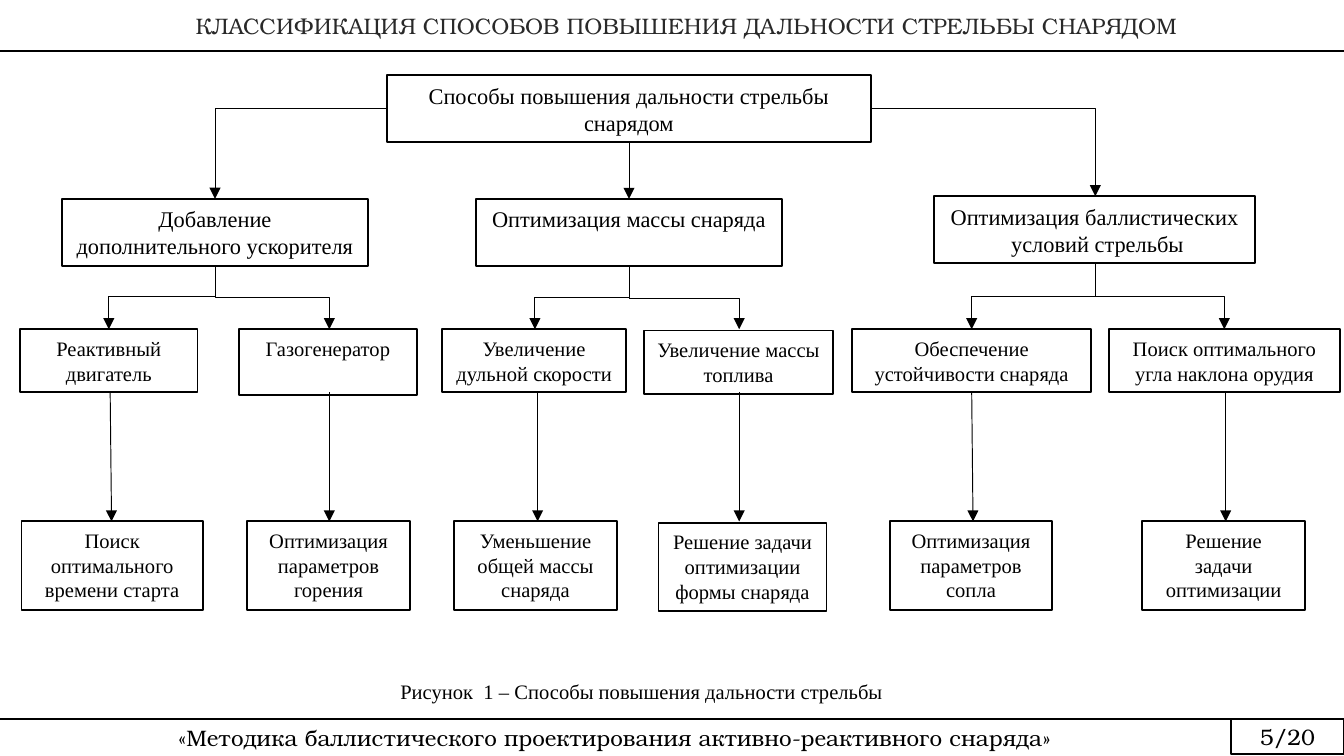
from lxml.etree import SubElement
from pptx import Presentation
from pptx.dml.color import RGBColor
from pptx.enum.shapes import MSO_CONNECTOR, MSO_SHAPE
from pptx.enum.text import MSO_ANCHOR, PP_ALIGN
from pptx.oxml.ns import qn
from pptx.util import Inches, Pt

BLACK = RGBColor(0x00, 0x00, 0x00)
WHITE = RGBColor(0xFF, 0xFF, 0xFF)
TITLE_GRAY = RGBColor(0x29, 0x29, 0x29)
BODY_FONT = "Times New Roman"
FRAME_FONT = "TeX Gyre Bonum"
FRAME_INSETS = (0.07, 0.04, 0.07, 0.04)


def write_text(shape, text, size=11, font=BODY_FONT, color=BLACK,
               align=PP_ALIGN.CENTER, anchor=MSO_ANCHOR.TOP,
               insets=(0.1, 0.05, 0.1, 0.05)):
    """Fill a shape with text, one paragraph per line."""
    frame = shape.text_frame
    frame.word_wrap = True
    frame.vertical_anchor = anchor
    (frame.margin_left, frame.margin_top,
     frame.margin_right, frame.margin_bottom) = map(Inches, insets)
    frame.text = text
    for paragraph in frame.paragraphs:
        paragraph.alignment = align
        for run in paragraph.runs:
            run.font.size = Pt(size)
            run.font.name = font
            run.font.color.rgb = color


class SchemeSlide:
    """Holds the current slide and the style of the scheme."""
    box_line = 1
    rule_line = 0.75
    arrow_line = 0.5

    def __init__(self, slide):
        self.shapes = slide.shapes

    def box(self, place, text, fill=WHITE, line=box_line, **text_format):
        shape = self.shapes.add_shape(MSO_SHAPE.RECTANGLE, *map(Inches, place))
        shape.shadow.inherit = False
        if fill is None:
            shape.fill.background()
        else:
            shape.fill.solid()
            shape.fill.fore_color.rgb = fill
        if line:
            shape.line.color.rgb = BLACK
            shape.line.width = Pt(line)
        else:
            shape.line.fill.background()
        write_text(shape, text, **text_format)

    def label(self, place, text, **text_format):
        write_text(self.shapes.add_textbox(*map(Inches, place)), text, **text_format)

    def rule(self, start, end, width=rule_line, kind=MSO_CONNECTOR.STRAIGHT):
        connector = self.shapes.add_connector(kind, *map(Inches, (*start, *end)))
        connector.line.color.rgb = BLACK
        connector.line.width = Pt(width)
        SubElement(connector._element.spPr, qn("a:effectLst"))
        return connector

    def arrow(self, start, end, kind=MSO_CONNECTOR.STRAIGHT):
        connector = self.rule(start, end, self.arrow_line, kind)
        line = connector.line._get_or_add_ln()
        SubElement(line, qn("a:tailEnd"), type="triangle")
        return connector

    def corner_arrow(self, start, end):
        """Go sideways, then down, with a single bend."""
        connector = self.arrow(start, end, MSO_CONNECTOR.ELBOW)
        connector._element.spPr.find(qn("a:prstGeom")).set("prst", "bentConnector2")

    def step_arrow(self, start, end):
        """Go down, sideways and down again: an elbow turned by a quarter."""
        (x1, y1), (x2, y2) = start, end
        drop, shift = y2 - y1, abs(x2 - x1)
        left, top = (x1 + x2 - drop) / 2, (y1 + y2 - shift) / 2
        near, far, turn = left, left + drop, 90
        if x2 > x1:
            near, far, turn = far, near, 270
        connector = self.arrow((near, top), (far, top + shift), MSO_CONNECTOR.ELBOW)
        connector._element.spPr.find(qn("a:xfrm")).set("rot", str(turn * 60000))


# Boxes of the scheme: place and text
METHODS = [
    ((2.88, 0.56, 3.6, 0.5), "Способы повышения дальности стрельбы снарядом"),
    ((0.46, 1.48, 2.28, 0.5), "Добавление дополнительного ускорителя"),
    ((3.54, 1.48, 2.28, 0.5), "Оптимизация массы снаряда"),
    ((6.95, 1.46, 2.39, 0.5), "Оптимизация баллистических\n условий стрельбы"),
]
MEANS = [
    ((0.15, 2.45, 1.32, 0.47), "Реактивный двигатель"),
    ((1.78, 2.45, 1.32, 0.49), "Газогенератор"),
    ((3.29, 2.45, 1.37, 0.47), "Увеличение дульной скорости"),
    ((4.79, 2.46, 1.41, 0.47), "Увеличение массы топлива"),
    ((6.34, 2.45, 1.78, 0.47), "Обеспечение устойчивости снаряда"),
    ((8.25, 2.45, 1.72, 0.47), "Поиск оптимального угла наклона орудия"),
]
TASKS = [
    ((0.16, 3.88, 1.35, 0.66), "Поиск оптимального времени старта"),
    ((1.84, 3.88, 1.21, 0.66), "Оптимизация параметров горения"),
    ((3.38, 3.88, 1.21, 0.66), "Уменьшение общей массы снаряда"),
    ((4.9, 3.89, 1.25, 0.66), "Решение задачи оптимизации формы снаряда"),
    ((6.62, 3.88, 1.21, 0.66), "Оптимизация параметров сопла"),
    ((8.5, 3.88, 1.21, 0.66), "Решение задачи оптимизации"),
]

# Arrows of the scheme: start and end
CORNER_ARROWS = [
    ((2.88, 0.81), (1.6, 1.48)), ((6.48, 0.81), (8.15, 1.46)),
    ((1.6, 2.21), (0.81, 2.45)), ((4.68, 2.22), (5.5, 2.45)),
]
STEP_ARROWS = [
    ((1.6, 1.98), (2.45, 2.45)), ((4.68, 1.98), (3.98, 2.45)),
    ((8.15, 1.96), (7.23, 2.45)), ((8.15, 1.96), (9.11, 2.45)),
]
STRAIGHT_ARROWS = [((4.68, 1.06), (4.68, 1.48))] + [
    ((start, 2.92), (end, 3.88)) for start, end in
    [(0.82, 0.83), (2.45, 2.45), (4, 4), (5.5, 5.5), (7.23, 7.24), (9.12, 9.12)]
]


def main():
    # Widescreen slide, 16 to 9
    presentation = Presentation()
    presentation.slide_width = Inches(10)
    presentation.slide_height = Inches(10) * 9 // 16
    scheme = SchemeSlide(presentation.slides.add_slide(presentation.slide_layouts[6]))

    # Header
    scheme.box((0, 0, 10, 0.38),
               "КЛАССИФИКАЦИЯ СПОСОБОВ ПОВЫШЕНИЯ ДАЛЬНОСТИ СТРЕЛЬБЫ СНАРЯДОМ",
               line=None, size=12, font=FRAME_FONT, color=TITLE_GRAY,
               anchor=MSO_ANCHOR.MIDDLE, insets=(0.23, 0.01, 0.01, 0.01))
    scheme.rule((0, 0.38), (10, 0.38))

    # Scheme
    for boxes, size in ((METHODS, 12), (MEANS, 11), (TASKS, 11)):
        for place, text in boxes:
            scheme.box(place, text, size=size)
    for draw, arrows in ((scheme.corner_arrow, CORNER_ARROWS),
                         (scheme.step_arrow, STEP_ARROWS),
                         (scheme.arrow, STRAIGHT_ARROWS)):
        for start, end in arrows:
            draw(start, end)
    scheme.label((2.88, 5, 5.08, 0.29),
                 "Рисунок  1 – Способы повышения дальности стрельбы",
                 align=PP_ALIGN.LEFT)

    # Footer
    footer_format = {"size": 12, "font": FRAME_FONT,
                     "anchor": MSO_ANCHOR.MIDDLE, "insets": FRAME_INSETS}
    scheme.rule((0, 5.35), (9.18, 5.35))
    scheme.box((9.16, 5.35, 0.84, 0.26), "5/20", fill=None,
               line=scheme.rule_line, **footer_format)
    scheme.label((0, 5.35, 9.15, 0.28),
                 "«Методика баллистического проектирования активно-реактивного снаряда»",
                 **footer_format)

    presentation.save("out.pptx")


if __name__ == "__main__":
    main()
